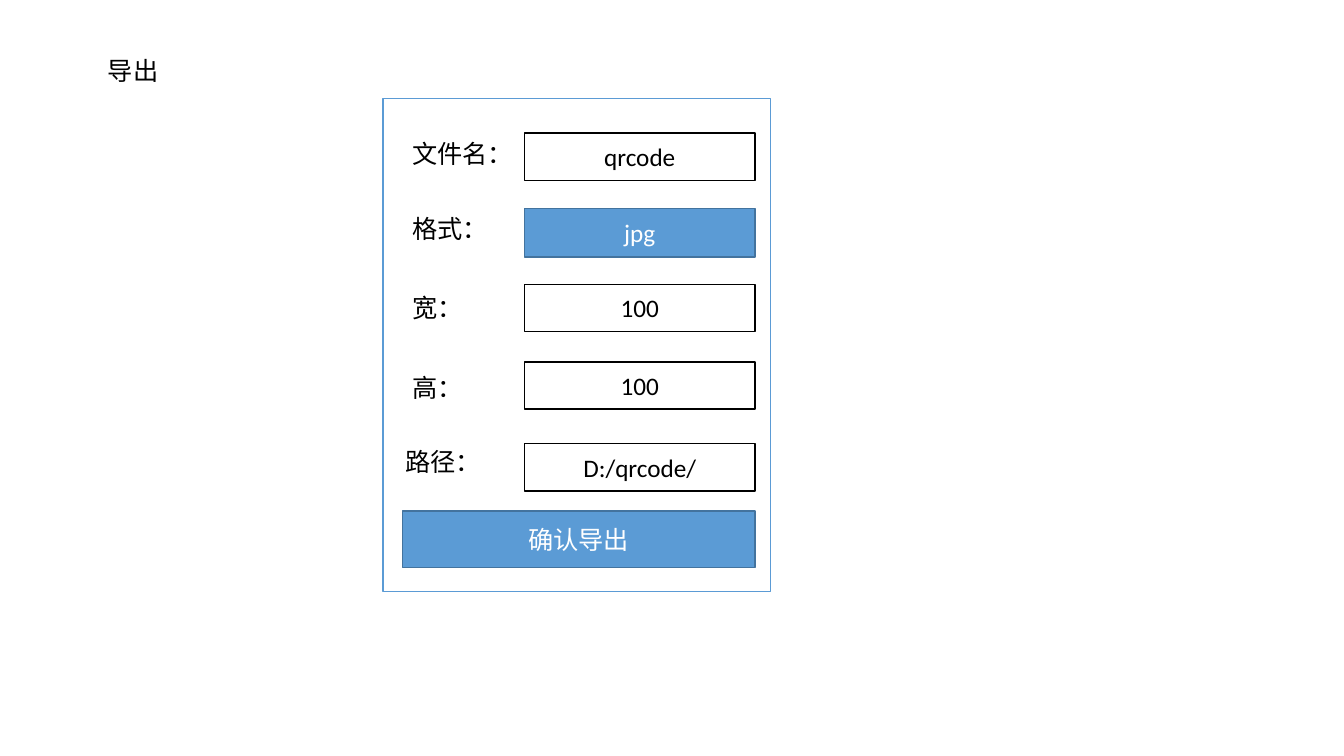
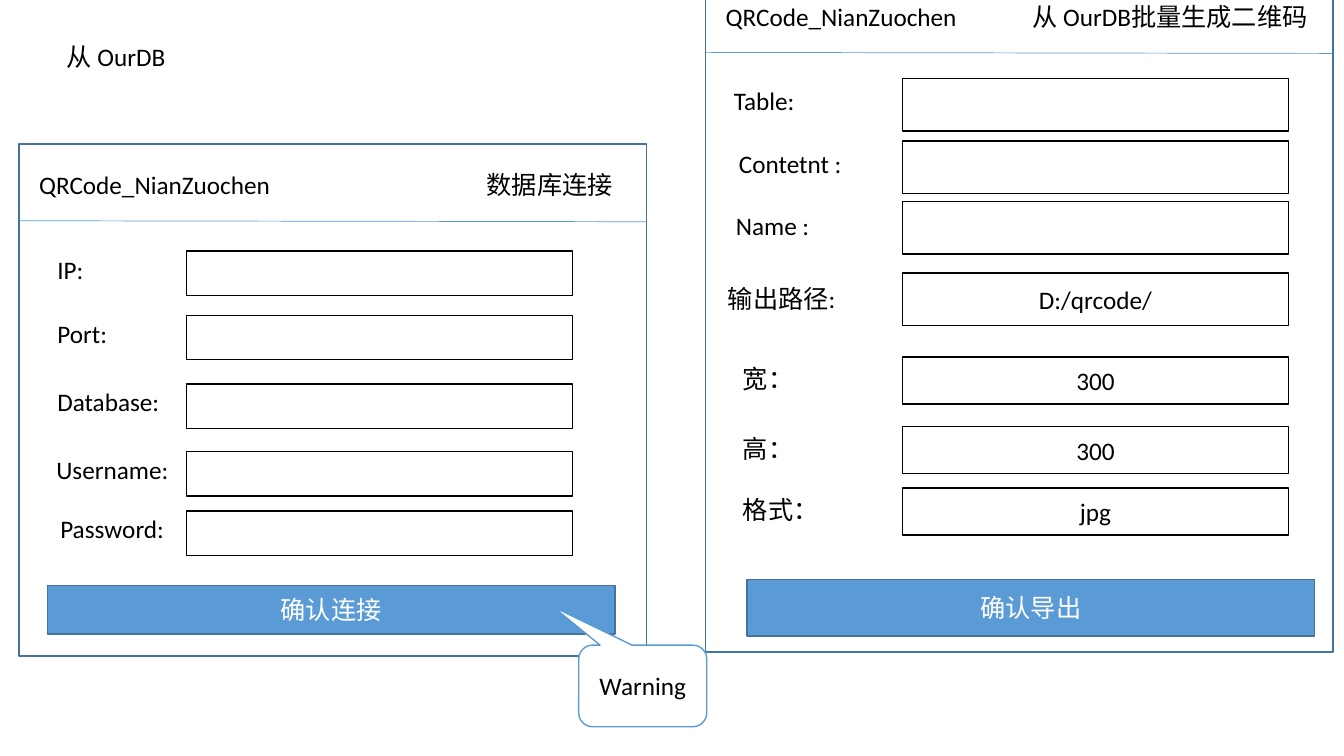
from dataclasses import dataclass

from lxml import etree
from pptx import Presentation
from pptx.dml.color import RGBColor
from pptx.enum.shapes import MSO_CONNECTOR, MSO_SHAPE
from pptx.enum.text import MSO_ANCHOR, MSO_AUTO_SIZE, PP_ALIGN
from pptx.oxml.ns import qn
from pptx.util import Inches, Pt

RECTANGLE, CALLOUT = MSO_SHAPE.RECTANGLE, MSO_SHAPE.ROUNDED_RECTANGULAR_CALLOUT
STRAIGHT = MSO_CONNECTOR.STRAIGHT
TOP, MIDDLE = MSO_ANCHOR.TOP, MSO_ANCHOR.MIDDLE
LEFT, CENTER = PP_ALIGN.LEFT, PP_ALIGN.CENTER
NO_AUTOSIZE = MSO_AUTO_SIZE.NONE

FONT, TEXT_SIZE = "Calibri", 18
WHITE, BLACK, BLUE, DARK_BLUE = "FFFFFF", "000000", "5B9BD5", "43739E"
TITLE_ONLY = 5
LINE_HEIGHT = 0.4
APP_NAME = "QRCode_NianZuochen"


@dataclass
class Box:
    """A rectangle in inches."""
    left: float
    top: float
    width: float
    height: float

    def inner(self, left, top, width, height):
        """Return a box whose offsets count from this box's corner."""
        return Box(self.left + left, self.top + top, width, height)

    def lengths(self):
        """Return left, top, width and height as slide lengths."""
        return [Inches(value) for value in
                (self.left, self.top, self.width, self.height)]


@dataclass
class Row:
    """One labelled field, with offsets from the form's panel."""
    label: str
    label_left: float
    label_top: float
    label_width: float
    field_top: float
    value: str = ""
    height: float = 0.47
    selected: bool = False


def rgb(color):
    """Turn a hex string into a colour."""
    return RGBColor.from_string(color)


def write(shape, text, color=BLACK, align=LEFT, anchor=TOP):
    """Put formatted text into a shape."""
    frame = shape.text_frame
    frame.word_wrap = True
    frame.auto_size = NO_AUTOSIZE
    frame.vertical_anchor = anchor
    para = frame.paragraphs[0]
    para.alignment = align
    span = para.add_run()
    span.text = text
    span.font.name = FONT
    span.font.size = Pt(TEXT_SIZE)
    span.font.color.rgb = rgb(color)


def add_label(page, box, text):
    """Add a plain text box."""
    write(page.shapes.add_textbox(*box.lengths()), text)


def add_block(page, box, text="", kind=RECTANGLE, fill=WHITE, line=BLACK, color=BLACK):
    """Add an outlined shape with centred text."""
    shape = page.shapes.add_shape(kind, *box.lengths())
    shape.shadow.inherit = False
    if fill:
        shape.fill.solid()
        shape.fill.fore_color.rgb = rgb(fill)
    else:
        shape.fill.background()
    shape.line.color.rgb = rgb(line)
    shape.line.width = Pt(1)
    if text:
        write(shape, text, color=color, align=CENTER, anchor=MIDDLE)
    return shape


def add_button(page, box, text):
    """Add a blue button."""
    add_block(page, box, text, fill=BLUE, line=DARK_BLUE, color=WHITE)


def add_header(page, panel, caption, caption_left, caption_width):
    """Add the application name, window caption and rule of a panel."""
    rule_top = panel.top + 0.76
    rule = page.shapes.add_connector(
        STRAIGHT, Inches(panel.left), Inches(rule_top),
        Inches(panel.left + panel.width), Inches(rule_top + 0.01))
    rule.line.color.rgb = rgb(BLUE)
    rule.line.width = Pt(0.5)
    etree.SubElement(rule.element.spPr, qn("a:effectLst"))
    add_label(page, panel.inner(0.1, 0.2, 2.63, LINE_HEIGHT), APP_NAME)
    add_label(page, panel.inner(caption_left, 0.2, caption_width, LINE_HEIGHT), caption)


def add_form(page, panel, rows, field_left, field_width):
    """Add the labels and fields of a form inside its panel."""
    for row in rows:
        add_label(page, panel.inner(row.label_left, row.label_top,
                                    row.label_width, LINE_HEIGHT), row.label)
        field = panel.inner(field_left, row.field_top, field_width, row.height)
        if row.selected:
            add_button(page, field, row.value)
        else:
            add_block(page, field, row.value)


def add_page(deck, title, box):
    """Add a slide with a small title in the given box."""
    page = deck.slides.add_slide(deck.slide_layouts[TITLE_ONLY])
    heading = page.shapes.title
    heading.left, heading.top, heading.width, heading.height = box.lengths()
    write(heading, title)
    return page


def add_export_window(page, panel):
    """Add the export settings form."""
    add_block(page, panel, line=BLUE)
    rows = [
        Row("文件名：", 0.19, 0.34, 1.07, 0.34, "qrcode"),
        Row("格式：", 0.19, 1.09, 1.07, 1.09, "jpg", height=0.48, selected=True),
        Row("宽：", 0.19, 1.87, 1.21, 1.84, "100"),
        Row("高：", 0.19, 2.66, 1.21, 2.61, "100"),
        Row("路径：", 0.12, 3.4, 1.21, 3.42, "D:/qrcode/"),
    ]
    add_form(page, panel, rows, field_left=1.4, field_width=2.29)
    add_button(page, panel.inner(0.19, 4.09, 3.5, 0.56), "确认导出")


def add_connection_window(page, panel):
    """Add the database connection form and its warning."""
    add_block(page, panel, fill=None, line=DARK_BLUE)
    add_header(page, panel, "数据库连接", 4.54, 1.56)
    rows = [
        Row("IP:", 0.28, 1.04, 0.7, 1.06, height=0.44),
        Row("Port:", 0.28, 1.68, 0.7, 1.7, height=0.44),
        Row("Database:", 0.28, 2.35, 1.27, 2.38, height=0.44),
        Row("Username:", 0.27, 3.03, 1.38, 3.05, height=0.44),
        Row("Password:", 0.31, 3.61, 1.23, 3.64, height=0.44),
    ]
    add_form(page, panel, rows, field_left=1.66, field_width=3.83)
    add_button(page, panel.inner(0.28, 4.38, 5.63, 0.48), "确认连接")
    warning = add_block(page, panel.inner(5.55, 4.97, 1.27, 0.81), "Warning",
                        kind=CALLOUT, line=BLUE)
    for index, value in enumerate((-0.7, -0.97, 0.17)):
        warning.adjustments[index] = value


def add_batch_window(page, panel):
    """Add the form that generates codes in batches."""
    add_block(page, panel, fill=None, line=DARK_BLUE)
    add_header(page, panel, "从 OurDB批量生成二维码", 3.14, 3.19)
    rows = [
        Row("Table:", 0.18, 1.04, 1.23, 1.02, height=0.52),
        Row("Contetnt :", 0.23, 1.66, 1.55, 1.64, height=0.52),
        Row("Name :", 0.2, 2.28, 1.23, 2.24, height=0.52),
        Row("输出路径:", 0.12, 3, 1.72, 2.95, "D:/qrcode/", height=0.52),
        Row("宽：", 0.27, 3.8, 1.22, 3.78, "300"),
        Row("高：", 0.27, 4.49, 1.22, 4.47, "300"),
        Row("格式：", 0.27, 5.1, 1.22, 5.08, "jpg"),
    ]
    add_form(page, panel, rows, field_left=1.95, field_width=3.83)
    add_button(page, panel.inner(0.41, 5.99, 5.63, 0.56), "确认导出")


def main():
    """Build and save the deck."""
    deck = Presentation()
    deck.slide_width, deck.slide_height = Inches(13.33), Inches(7.5)

    export_page = add_page(deck, "导出", Box(0.97, 0.5, 1.11, LINE_HEIGHT))
    add_export_window(export_page, Box(3.8, 0.98, 3.84, 4.89))

    database_page = add_page(deck, "从 OurDB", Box(0.56, 0.36, 1.99, LINE_HEIGHT))
    add_batch_window(database_page, Box(7, -0.24, 6.22, 6.71))
    add_connection_window(database_page, Box(0.19, 1.43, 6.22, 5.08))

    deck.save("out.pptx")


main()
